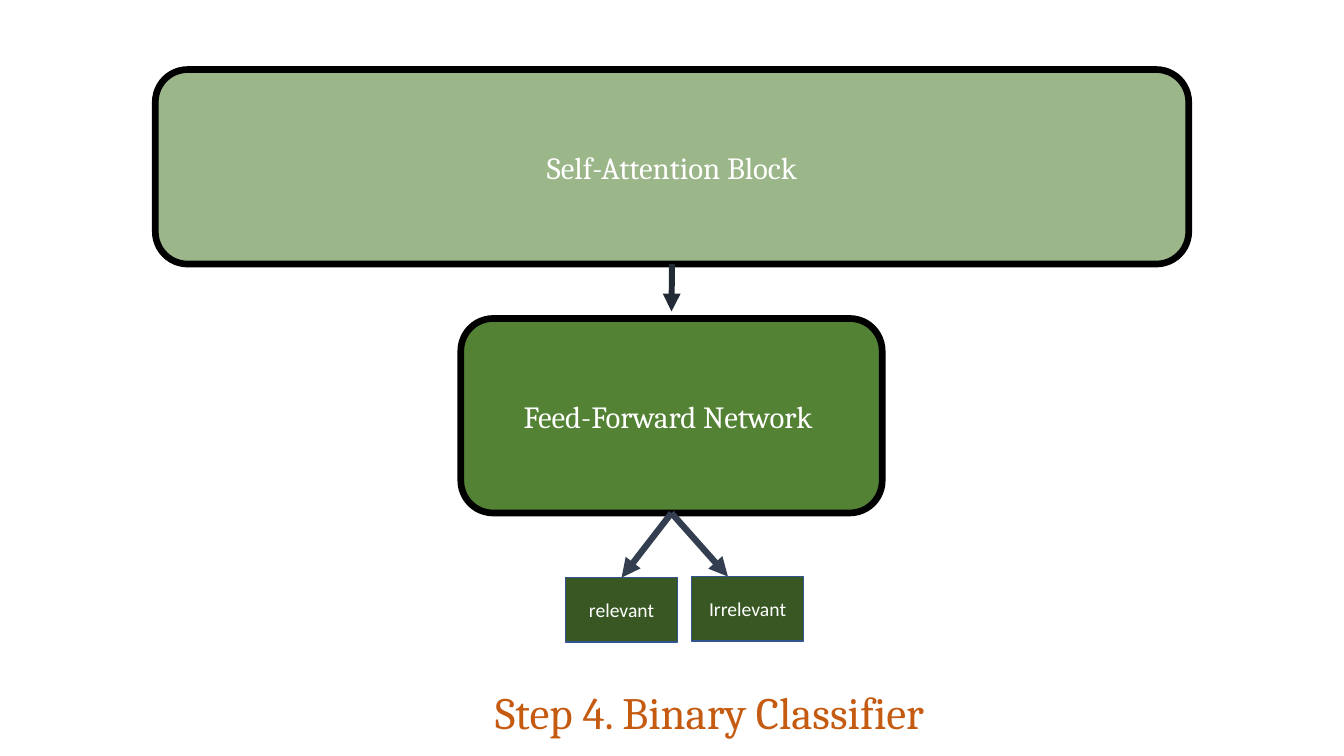
from lxml.etree import SubElement
from pptx import Presentation
from pptx.dml.color import RGBColor
from pptx.enum.shapes import MSO_CONNECTOR, MSO_SHAPE
from pptx.enum.text import MSO_ANCHOR, PP_ALIGN
from pptx.oxml.ns import qn
from pptx.util import Pt

PX = 9144  # one px is a hundredth of an inch
BOTTOM, TOP = 2, 0

TITLE = ("Step 4. Binary Classifier", (339, 637, 730, 145))

# Looks: shape, line colour, line width, font, size
BLOCK = (MSO_SHAPE.ROUNDED_RECTANGLE, "000000", 4.75, "Cambria", 22)
LABEL = (MSO_SHAPE.RECTANGLE, "325491", 1, "Calibri", 14)

# Name: text, place, look, fill, opacity in percent
BOXES = {
    "attention": ("Self-Attention Block", (154, 69, 1025, 193), BLOCK, "548235", 58),
    "network": ("Feed-Forward Network ", (457, 316, 418, 193), BLOCK, "548235", 100),
    "relevant": ("relevant", (561, 573, 111, 64), LABEL, "385723", 100),
    "irrelevant": ("Irrelevant", (686, 572, 111, 64), LABEL, "385723", 100),
}

# Source box, target box or free end point, colour, width
ARROWS = [
    ("attention", (666, 309), "222A35", 4.25),
    ("network", "relevant", "333F50", 4.5),
    ("network", (722, 572), "333F50", 4.5),
]


def color(value):
    return RGBColor.from_string(value)


def scaled(lengths):
    return [length * PX for length in lengths]


def write(shape, text, font_name, size, font_color):
    frame = shape.text_frame
    frame.word_wrap = True
    frame.vertical_anchor = MSO_ANCHOR.MIDDLE
    para = frame.paragraphs[0]
    para.text = text
    para.alignment = PP_ALIGN.CENTER
    para.font.name = font_name
    para.font.size = Pt(size)
    para.font.color.rgb = color(font_color)
    return para


def add_box(page, text, place, look, fill, opacity):
    preset, line_color, line_width, font_name, size = look
    box = page.shapes.add_shape(preset, *scaled(place))
    box.shadow.inherit = False
    box.fill.solid()
    box.fill.fore_color.rgb = color(fill)
    if opacity < 100:
        tint = box.fill._xPr.find(qn("a:solidFill"))[0]
        SubElement(tint, qn("a:alpha"), val=str(opacity * 1000))
    box.line.color.rgb = color(line_color)
    box.line.width = Pt(line_width)
    write(box, text, font_name, size, "FFFFFF")
    return box


def add_arrow(page, boxes, source, target, line_color, width):
    end = (0, 0) if target in boxes else scaled(target)
    arrow = page.shapes.add_connector(MSO_CONNECTOR.STRAIGHT, 0, 0, *end)
    arrow.begin_connect(boxes[source], BOTTOM)
    if target in boxes:
        arrow.end_connect(boxes[target], TOP)
    arrow.line.color.rgb = color(line_color)
    arrow.line.width = Pt(width)
    SubElement(arrow.line._get_or_add_ln(), qn("a:tailEnd"), type="triangle")
    SubElement(arrow._element.spPr, qn("a:effectLst"))


def main():
    deck = Presentation()
    deck.slide_width, deck.slide_height = scaled((1333, 750))
    page = deck.slides.add_slide(deck.slide_layouts[5])

    # Title below the diagram
    text, place = TITLE
    title = page.shapes.title
    title.left, title.top, title.width, title.height = scaled(place)
    write(title, text, "Cambria", 32, "C55A11").line_spacing = 0.9

    # Blocks and output labels, then the arrows between them
    boxes = {name: add_box(page, *box) for name, box in BOXES.items()}
    for arrow in ARROWS:
        add_arrow(page, boxes, *arrow)

    deck.save("out.pptx")


if __name__ == "__main__":
    main()
